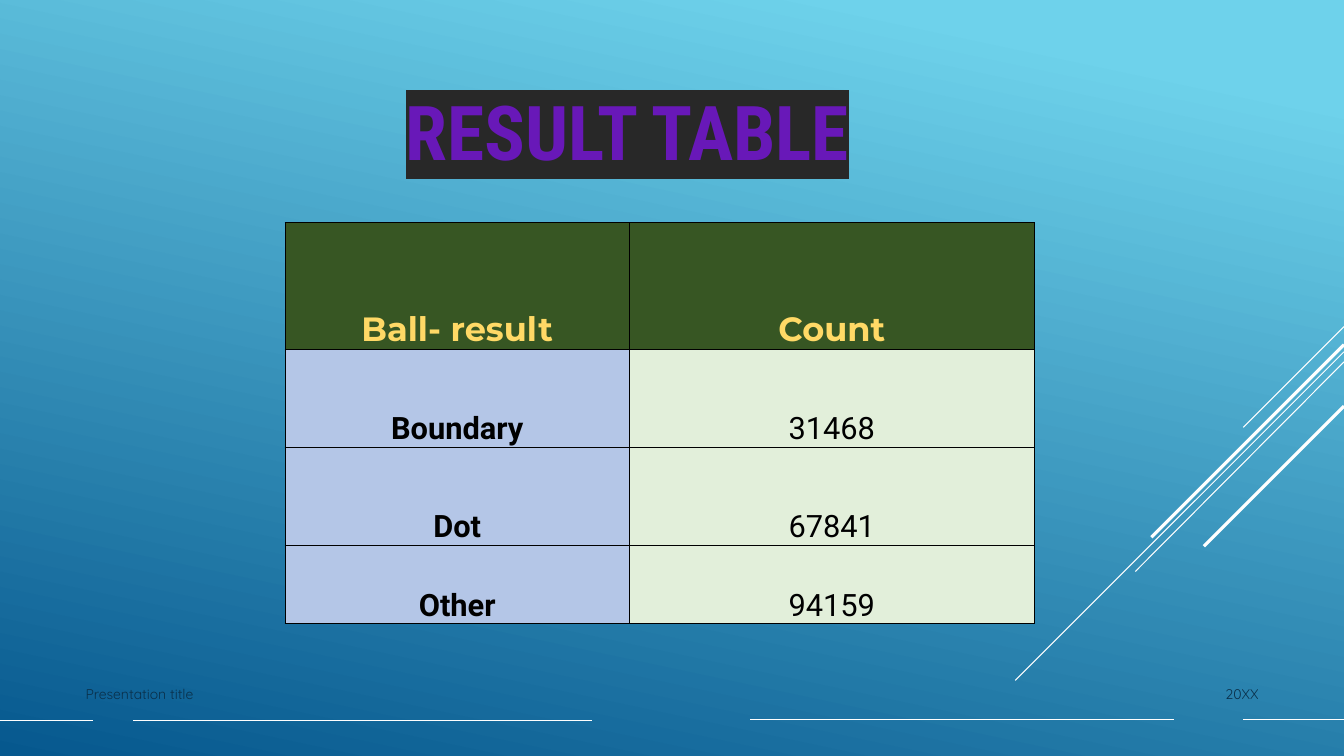
import pptx
import pptx.util
import pptx.dml.color
import pptx.enum.shapes
import pptx.enum.text
import pptx.oxml.ns
from dataclasses import dataclass
from lxml import etree

Inches, Pt = pptx.util.Inches, pptx.util.Pt
Align, Anchor = pptx.enum.text.PP_ALIGN, pptx.enum.text.MSO_ANCHOR
qn = pptx.oxml.ns.qn


@dataclass(frozen=True)
class Theme:
    sky: str = "6ED2EB"
    sea: str = "06588E"
    white: str = "FFFFFF"
    black: str = "000000"
    navy: str = "0A304A"
    purple: str = "6818B8"
    coal: str = "282828"
    gold: str = "E9C369"
    yellow: str = "FFD966"
    forest: str = "375623"
    blue: str = "B4C6E7"
    mint: str = "E2EFDA"
    title: float = 54
    head: float = 24
    body: float = 22
    foot: float = 10


T = Theme()

HAIR, BOLD, RULE = 0.75, 2.25, 1
RAYS = [  # start and end of each diagonal, then its width
    (13.33, 3.24, 12.33, 4.24, HAIR),
    (13.33, 3.49, 10.07, 6.75, HAIR),
    (13.33, 3.59, 11.26, 5.67, HAIR),
    (13.33, 3.42, 11.42, 5.33, BOLD),
    (13.33, 4.03, 11.94, 5.42, BOLD),
]
DASHES = [(0, 0.92, 7.15), (1.32, 5.87, 7.15), (7.44, 11.64, 7.14), (12.33, 13.33, 7.14)]
ROWS = [("Ball- result", "Count"), ("Boundary", "31468"), ("Dot", "67841"), ("Other", "94159")]
WIDTHS, HEIGHTS = [3.41, 4.02], [1.26, 0.97, 0.97, 0.78]


def rgb(code):
    return pptx.dml.color.RGBColor.from_string(code)


def paint(parent, code):
    fill = etree.SubElement(parent, qn("a:solidFill"))
    etree.SubElement(fill, qn("a:srgbClr"), val=code)


def write(frame, text, font, size, color, bold=False, align=Align.LEFT, mark=None, edge=None):
    """Put one formatted run in a text frame."""
    para = frame.paragraphs[0]
    para.alignment = align
    run = para.add_run()
    run.text = text
    run.font.name, run.font.size, run.font.bold = font, Pt(size), bold
    run.font.color.rgb = rgb(color)
    props = run.font._element
    if mark:
        glow = etree.Element(qn("a:highlight"))
        etree.SubElement(glow, qn("a:srgbClr"), val=mark)
        props.find(qn("a:solidFill")).addnext(glow)
    if edge:
        code, width = edge
        line = etree.Element(qn("a:ln"), w=str(Pt(width)))
        paint(line, code)
        props.insert(0, line)


def add_text(slide, box, text, **style):
    frame = slide.shapes.add_textbox(*map(Inches, box)).text_frame
    frame.word_wrap = True
    write(frame, text, **style)


def add_line(slide, x1, y1, x2, y2, width):
    kind = pptx.enum.shapes.MSO_CONNECTOR.STRAIGHT
    line = slide.shapes.add_connector(kind, *map(Inches, (x1, y1, x2, y2)))
    line.line.color.rgb = rgb(T.white)
    line.line.width = Pt(width)
    etree.SubElement(line._element.spPr, qn("a:effectLst"))


def add_edges(cell, **widths):
    props = cell._tc.get_or_add_tcPr()
    for spot, (side, width) in enumerate(widths.items()):
        line = etree.Element(qn("a:ln" + side), w=str(Pt(width)))
        paint(line, T.black)
        props.insert(spot, line)


def add_grid(slide, left, top):
    size = map(Inches, (left, top, sum(WIDTHS), sum(HEIGHTS)))
    table = slide.shapes.add_table(len(ROWS), len(WIDTHS), *size).table
    table.first_row = table.horz_banding = False
    for col, width in zip(table.columns, WIDTHS):
        col.width = Inches(width)
    for row, height in zip(table.rows, HEIGHTS):
        row.height = Inches(height)

    last = len(ROWS) - 1
    for r, row in enumerate(ROWS):
        for c, text in enumerate(row):
            cell = table.cell(r, c)
            cell.vertical_anchor = Anchor.BOTTOM
            cell.margin_left = cell.margin_right = cell.margin_top = Inches(0.01)
            cell.margin_bottom = 0
            cell.fill.solid()
            if r == 0:
                cell.fill.fore_color.rgb = rgb(T.forest)
                style = dict(font="Montserrat", size=T.head, color=T.yellow, bold=True)
            else:
                cell.fill.fore_color.rgb = rgb(T.mint if c else T.blue)
                style = dict(font="Roboto", size=T.body, color=T.black, bold=c == 0)
            write(cell.text_frame, text, align=Align.CENTER, **style)
            # Outer frame and header rule are heavier than inner lines
            add_edges(cell, L=0.5 if c else 1, R=1 if c else 0.5,
                      T=1 if r < 2 else 0.5, B=1 if r in (0, last) else 0.5)


def set_back(slide):
    fill = slide.background.fill
    fill.gradient()
    fill.gradient_angle = 258
    for stop, code, place in zip(fill.gradient_stops, (T.sky, T.sea), (0.1, 1)):
        stop.color.rgb = rgb(code)
        stop.position = place


def main():
    deck = pptx.Presentation()
    deck.slide_width, deck.slide_height = Inches(13.33), Inches(7.5)
    slide = deck.slides.add_slide(deck.slide_layouts[6])

    # Backdrop
    set_back(slide)
    for ray in RAYS:
        add_line(slide, *ray)
    for start, end, y in DASHES:
        add_line(slide, start, y, end, y, RULE)

    # Footer
    foot = dict(font="Quicksand", size=T.foot, color=T.navy)
    add_text(slide, (10.83, 6.75, 1.75, 0.4), "20XX", align=Align.RIGHT, **foot)
    add_text(slide, (0.75, 6.75, 8.25, 0.4), "Presentation title", **foot)

    # Results and heading
    add_grid(slide, 2.83, 2.21)
    add_text(slide, (2.89, 0.79, 6.67, 1.01), "RESULT TABLE", font="Roboto Condensed",
             size=T.title, color=T.purple, bold=True, align=Align.CENTER,
             mark=T.coal, edge=(T.gold, 1.75))

    deck.save("out.pptx")


if __name__ == "__main__":
    main()
